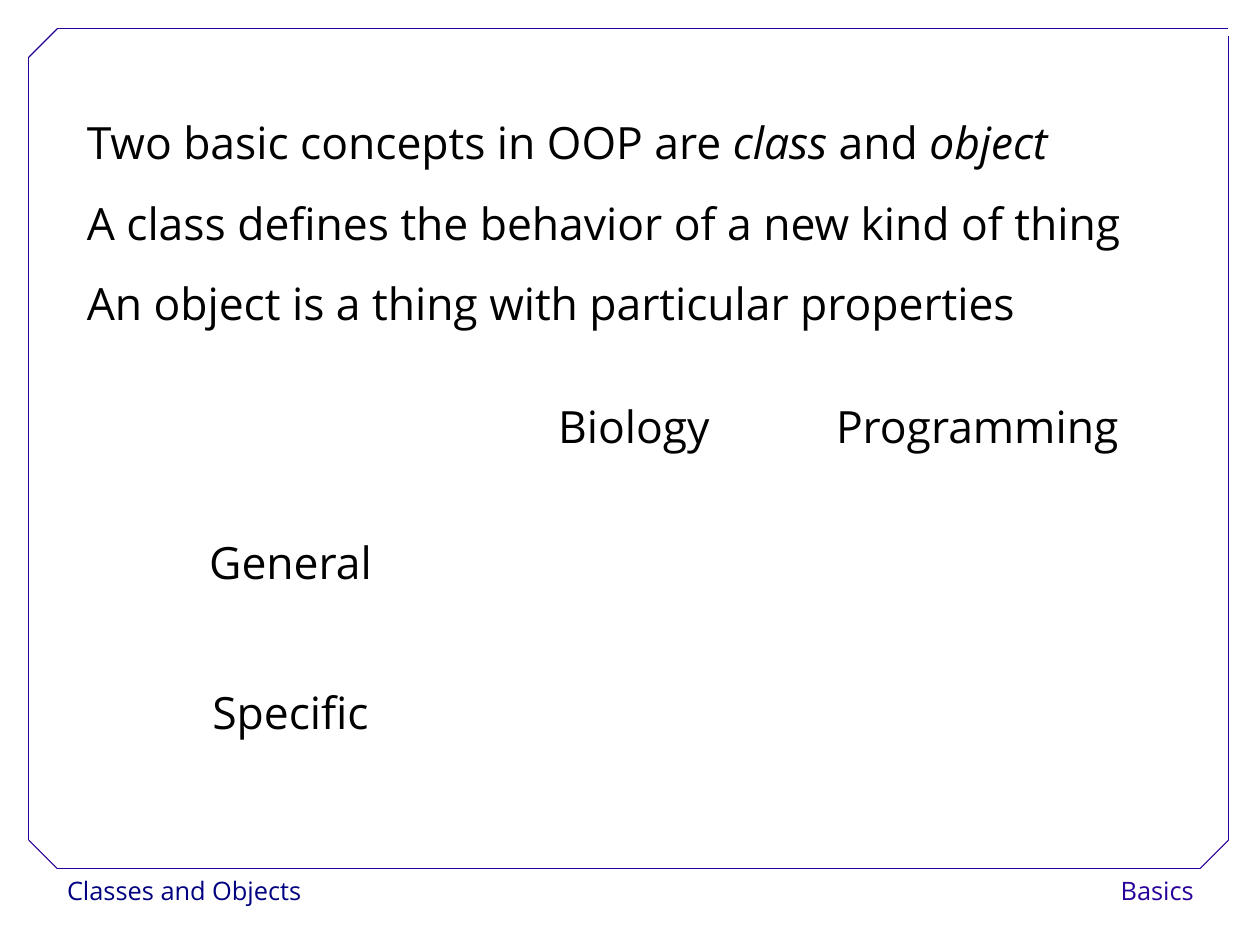
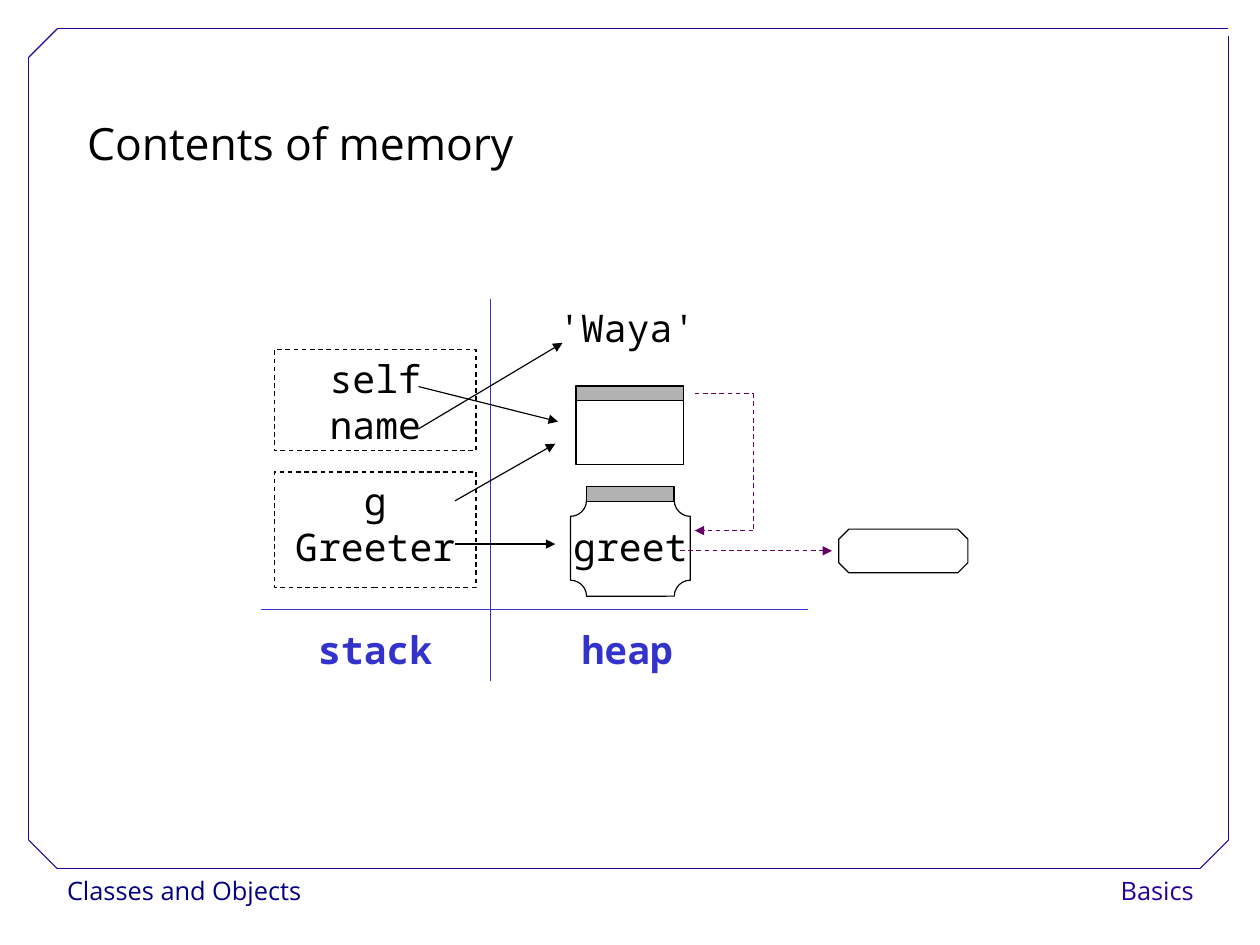
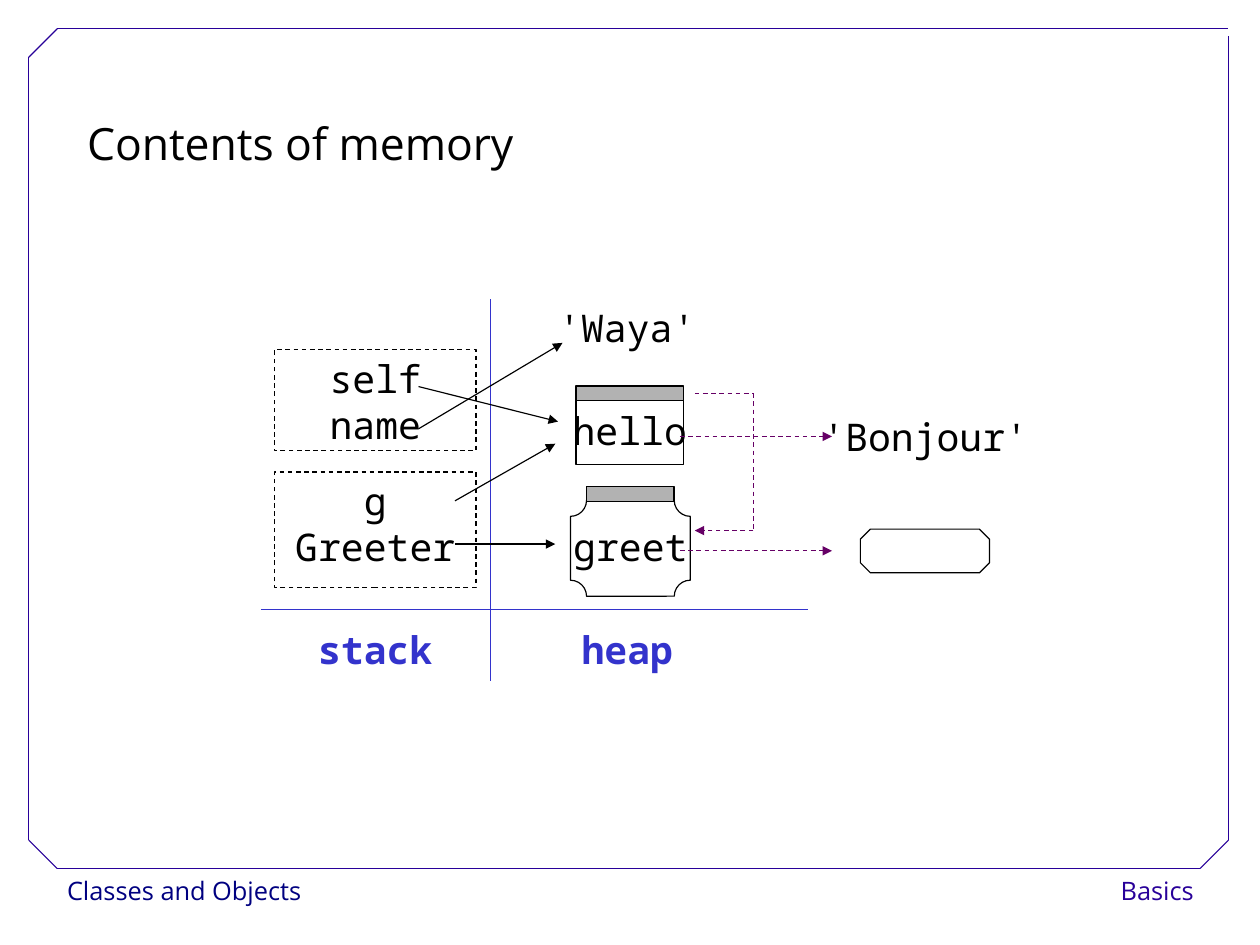
from lxml.etree import SubElement
from pptx import Presentation
from pptx.dml.color import RGBColor
from pptx.enum.dml import MSO_LINE
from pptx.enum.shapes import MSO_CONNECTOR, MSO_SHAPE
from pptx.enum.text import MSO_ANCHOR, MSO_AUTO_SIZE, PP_ALIGN
from pptx.oxml.ns import qn
from pptx.util import Cm, Pt

SANS, MONO = "Open Sans", "Noto Sans Mono"
BLACK, WHITE, GREY = "000000", "FFFFFF", "B2B2B2"
NAVY, INDIGO, BLUE, PURPLE = "000080", "280099", "3333CC", "660066"


def write_text(frame, text, size=24, font=MONO, color=BLACK, bold=False,
               align=PP_ALIGN.CENTER, anchor=MSO_ANCHOR.TOP, wrap=False,
               spacing=1.0, after=0):
    """Fill a text frame: a newline starts a paragraph, *stars* mark italics."""
    frame.word_wrap = wrap
    frame.auto_size = MSO_AUTO_SIZE.NONE
    frame.vertical_anchor = anchor
    for number, line in enumerate(text.split("\n")):
        para = frame.add_paragraph() if number else frame.paragraphs[0]
        para.alignment = align
        para.line_spacing = spacing
        para.space_before, para.space_after = Pt(0), Pt(after)
        for position, piece in enumerate(line.split("*")):
            if not piece:
                continue
            span = para.add_run()
            span.text = piece
            span.font.name, span.font.size = font, Pt(size)
            span.font.bold, span.font.italic = bold, position % 2 == 1
            span.font.color.rgb = RGBColor.from_string(color)


def draw_line(page, start, end, color, dashed=False, arrow=False):
    line = page.shapes.add_connector(
        MSO_CONNECTOR.STRAIGHT, *[Cm(value) for value in start + end])
    line.line.width = Pt(0.75)
    line.line.color.rgb = RGBColor.from_string(color)
    if dashed:
        line.line.dash_style = MSO_LINE.DASH
    if arrow:
        SubElement(line.line._get_or_add_ln(), qn("a:tailEnd"), type="triangle")
    SubElement(line.element.spPr, qn("a:effectLst"))
    return line


deck = Presentation()
deck.slide_width, deck.slide_height = Cm(28), Cm(21)
title_only, blank = deck.slide_layouts[5], deck.slide_layouts[6]

# Concepts slide; the frame and footers drawn here move to the master
page = deck.slides.add_slide(blank)
shared = []
for text, left, width, color, align in (
        ("Classes and Objects", 1.24, 5.46, NAVY, PP_ALIGN.LEFT),
        ("Basics", 23.22, 3.56, INDIGO, PP_ALIGN.RIGHT)):
    footer = page.shapes.add_textbox(Cm(left), Cm(19.3), Cm(width), Cm(1.02))
    footer.fill.solid()
    footer.fill.fore_color.rgb = RGBColor.from_string(WHITE)
    write_text(footer.text_frame, text, size=16, font=SANS, color=color,
               align=align, spacing=1.02)
    shared.append(footer)

left, right, top, bottom, corner = 0.64, 27.3, 0.64, 19.3, 0.63
for start, end in (
        ((left + corner, bottom), (right - corner, bottom)),
        ((left, bottom - corner), (left, top + corner)),
        ((left + corner, top), (right, top)),
        ((right, bottom - corner), (right, 0.81)),
        ((left, top + corner), (left + corner, top)),
        ((right - corner, bottom), (right, bottom - corner)),
        ((left, bottom - corner), (left + corner, bottom))):
    shared.append(draw_line(page, start, end, INDIGO))

for number, shape in enumerate(shared, 20):
    shape.element.xpath(".//p:cNvPr")[0].set("id", str(number))
    deck.slide_master.shapes.element.append(shape.element)

headline = {"size": 28, "font": SANS, "align": PP_ALIGN.LEFT, "wrap": True,
            "spacing": 1.5}
concepts = page.shapes.add_textbox(Cm(1.68), Cm(1.85), Cm(24), Cm(5.59))
write_text(concepts.text_frame,
           "Two basic concepts in OOP are *class* and *object*\n"
           "A class defines the behavior of a new kind of thing\n"
           "An object is a thing with particular properties", **headline)

table = page.shapes.add_table(
    3, 3, Cm(2.64), Cm(8.13), Cm(22.89), Cm(9.39)).table
table.first_row = table.horz_banding = False
for column in table.columns:
    column.width = Cm(7.63)
for row, height in zip(table.rows, (2.69, 3.35, 3.35)):
    row.height = Cm(height)
for cell in table.iter_cells():
    cell.fill.background()
for row, column, text in ((0, 1, "Biology"), (0, 2, "Programming"),
                          (1, 0, "General"), (2, 0, "Specific")):
    cell = table.cell(row, column)
    write_text(cell.text_frame, text, size=28, font=SANS, wrap=True,
               spacing=0.93, after=14.2)
    cell.vertical_anchor = MSO_ANCHOR.MIDDLE

# Memory slides: the second one also shows the greeting
for has_greeting, method_left in ((False, 18.64), (True, 19.12)):
    page = deck.slides.add_slide(title_only)
    title = page.shapes.title
    title.left, title.top = Cm(1.68), Cm(1.85)
    title.width, title.height = Cm(24), Cm(2.03)
    write_text(title.text_frame, "Contents of memory", **headline)

    centred = {"anchor": MSO_ANCHOR.MIDDLE, "spacing": 0.93}
    for kind, x, y, width, height, fill, dashed, text, style in (
            (MSO_SHAPE.RECTANGLE, 12.8, 8.9, 2.39, 1.43, None, False,
             "hello" if has_greeting else "", centred),
            (MSO_SHAPE.RECTANGLE, 12.8, 8.58, 2.39, 0.32, GREY, False, "", {}),
            (MSO_SHAPE.PLAQUE, 12.68, 11.12, 2.66, 2.13, None, False,
             "greet", centred),
            (MSO_SHAPE.RECTANGLE, 13.03, 10.82, 1.95, 0.32, GREY, False, "", {}),
            (MSO_SHAPE.OCTAGON, method_left, 11.76, 2.87, 0.97, None, False,
             "", {}),
            (MSO_SHAPE.RECTANGLE, 6.1, 10.49, 4.48, 2.56, None, True,
             "g\nGreeter", {}),
            (MSO_SHAPE.RECTANGLE, 6.1, 7.77, 4.48, 2.25, None, True,
             "self\nname", {})):
        box = page.shapes.add_shape(kind, Cm(x), Cm(y), Cm(width), Cm(height))
        box.shadow.inherit = False
        if kind == MSO_SHAPE.OCTAGON:
            box.adjustments[0] = 0.23
        if fill:
            box.fill.solid()
            box.fill.fore_color.rgb = RGBColor.from_string(fill)
        else:
            box.fill.background()
        box.line.width = Pt(0.75)
        box.line.color.rgb = RGBColor.from_string(BLACK)
        if dashed:
            box.line.dash_style = MSO_LINE.DASH
        if text:
            write_text(box.text_frame, text, **style)

    region = {"color": BLUE, "bold": True, "spacing": 0.93}
    labels = [("stack", 6.1, 13.88, 4.48, 1.27, region),
              ("heap", 11.7, 13.88, 4.48, 1.27, region),
              ("'Waya'", 12.01, 6.65, 3.84, 1.12, {})]
    if has_greeting:
        labels.append(("'Bonjour'", 18.64, 9.07, 3.84, 1.12, {}))
    for text, x, y, width, height, style in labels:
        label = page.shapes.add_textbox(Cm(x), Cm(y), Cm(width), Cm(height))
        write_text(label.text_frame, text, **style)

    draw_line(page, (5.8, 13.54), (17.95, 13.54), BLUE)
    draw_line(page, (10.9, 6.65), (10.9, 15.14), BLUE)

    for start, end in (((10.11, 11.13), (12.34, 9.86)),
                       ((10.11, 12.09), (12.34, 12.09)),
                       ((9.3, 8.59), (12.4, 9.37)),
                       ((9.3, 9.53), (12.5, 7.62))):
        draw_line(page, start, end, BLACK, arrow=True)

    for y in (9.7, 12.24) if has_greeting else (12.24,):
        draw_line(page, (15.11, y), (18.49, y), PURPLE, dashed=True, arrow=True)

    class_link = ((15.44, 8.74), (16.74, 8.74), (16.74, 11.79), (15.44, 11.79))
    for start, end in zip(class_link, class_link[1:]):
        draw_line(page, start, end, PURPLE, dashed=True,
                  arrow=end == class_link[-1])

deck.save("out.pptx")
